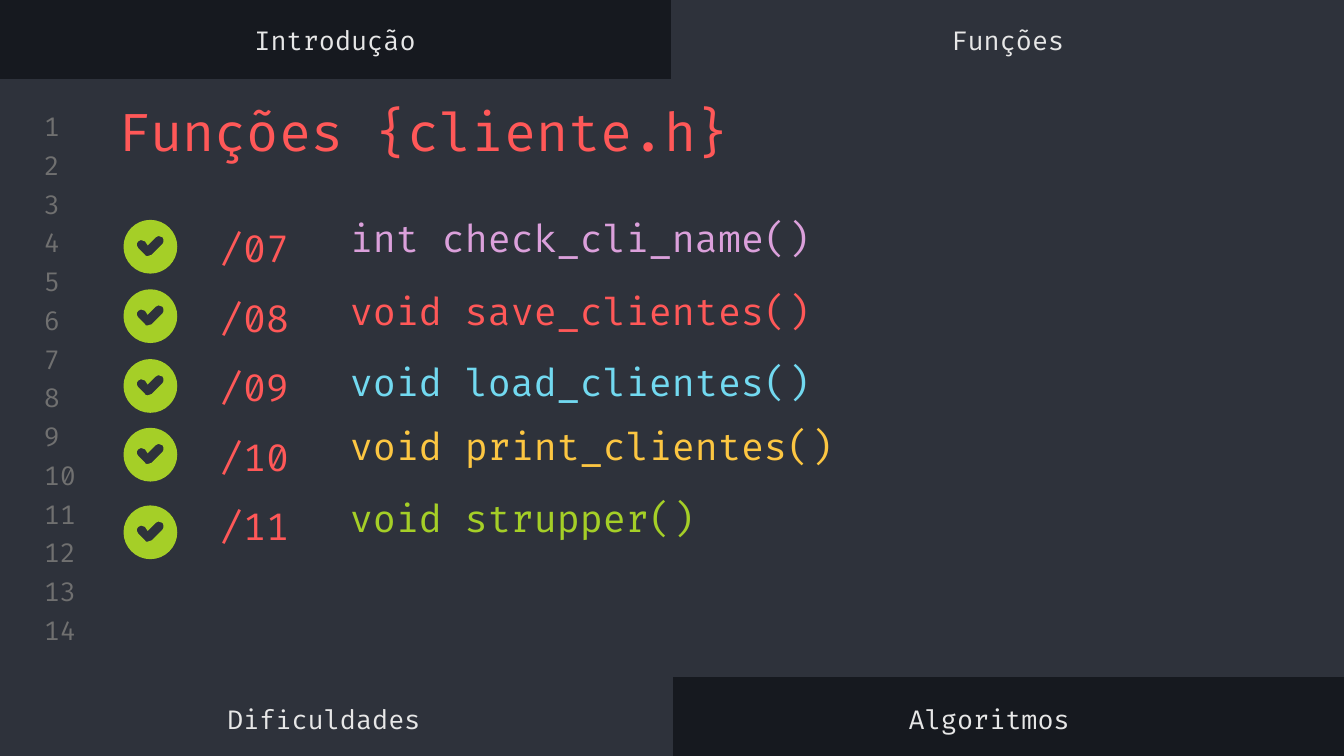
import pptx
import pptx.dml.color
import pptx.enum.shapes
import pptx.enum.text
import pptx.oxml.ns
import pptx.oxml.xmlchemy
import pptx.util

Pt = pptx.util.Pt
Align = pptx.enum.text.PP_ALIGN
Anchor = pptx.enum.text.MSO_ANCHOR


class Theme:
    font = "Fira Code"
    back, panel = "16191F", "2E323B"
    muted, light = "707070", "E7E7E7"
    red, pink, blue, yellow, green = "FF5858", "DBA0DB", "72D9F0", "FCC642", "A5CF27"
    title_size, code_size, small_size = 28, 20, 14


# Function rows: number, signature, colour, text top, text height, badge top
FUNCTIONS = [
    ("/07", "int check_cli_name()", Theme.pink, 102.2, 50.4, 117.8),
    ("/08", "void save_clientes()", Theme.red, 150.4, 31.7, 155),
    ("/09", "void load_clientes()", Theme.blue, 185.5, 38.2, 192.4),
    ("/10", "void print_clientes()", Theme.yellow, 224.3, 28.8, 229.2),
    ("/11", "void strupper()", Theme.green, 262.8, 28.8, 270.8),
]

# Navigation labels: text, left, top, width, alignment
LABELS = [
    ("Introdução", 0, 7.2, 359, Align.CENTER),
    ("Funções", 360, 7.2, 360, Align.CENTER),
    ("Dificuldades", 114.6, 371.2, 240, Align.LEFT),
    ("Algoritmos", 479.7, 371.2, 240, Align.LEFT),
]

# Badge outlines in hundredths of an inch: two values are a line, six a curve
CHECK = [
    (26, 12), (27, 12, 28, 12, 29, 13), (30, 14, 30, 17, 29, 18), (21, 26),
    (20, 27, 19, 27, 18, 27), (17, 27, 16, 27, 16, 26), (11, 21),
    (10, 20, 9, 18, 11, 16), (12, 16, 12, 15, 13, 15),
    (14, 15, 15, 16, 16, 16), (18, 19), (24, 13), (25, 12, 25, 12, 26, 12),
]
CIRCLE = [
    (20, 0), (9, 0, 0, 9, 0, 20), (0, 31, 9, 40, 20, 40),
    (31, 40, 40, 31, 40, 20), (40, 9, 31, 0, 20, 0),
]


def set_all(target, values):
    for name, value in values.items():
        setattr(target, name, value)


def rgb(value):
    return pptx.dml.color.RGBColor.from_string(value)


def place(box, left, top, width, height):
    set_all(box, {"left": Pt(left), "top": Pt(top),
                  "width": Pt(width), "height": Pt(height)})


def write(box, text, size, color, align=Align.LEFT, anchor=Anchor.MIDDLE):
    frame = box.text_frame
    inset = Pt(7.2)
    set_all(frame, {"word_wrap": True, "vertical_anchor": anchor,
                    "auto_size": pptx.enum.text.MSO_AUTO_SIZE.NONE,
                    "margin_left": inset, "margin_right": inset,
                    "margin_top": inset, "margin_bottom": inset})
    para = frame.paragraphs[0]
    para.alignment = align
    span = para.add_run()
    span.text = text
    set_all(span.font, {"name": Theme.font, "size": Pt(size)})
    span.font.color.rgb = rgb(color)


def add_text(page, area, *content, **options):
    box = page.shapes.add_textbox(*map(Pt, area))
    write(box, *content, **options)


def add_panel(page, *area):
    box = page.shapes.add_shape(
        pptx.enum.shapes.MSO_SHAPE.RECTANGLE, *map(Pt, area))
    box.shadow.inherit = False
    box.fill.solid()
    box.fill.fore_color.rgb = rgb(Theme.panel)
    box.line.color.rgb = rgb(Theme.panel)
    box.line.width = Pt(0.75)


def bend(shape, segments):
    """Join the control points of each curved segment into one curve."""
    nodes = iter(list(shape.element.iter(pptx.oxml.ns.qn("a:lnTo"))))
    for segment in segments:
        group = [next(nodes) for _ in segment[::2]]
        if len(group) == 1:
            continue
        curve = pptx.oxml.xmlchemy.OxmlElement("a:cubicBezTo")
        group[0].addprevious(curve)
        for node in group:
            curve.append(node[0])
            node.getparent().remove(node)


def add_badge(page, left, top):
    def points(segments):
        return [(Pt(left + x * 0.72), Pt(top + y * 0.72))
                for segment in segments
                for x, y in zip(segment[::2], segment[1::2])]

    check, circle = points(CHECK), points(CIRCLE)
    builder = page.shapes.build_freeform(*check[0])
    builder.add_line_segments(check[1:], close=True)
    builder.move_to(*circle[0])
    builder.add_line_segments(circle[1:], close=True)
    badge = builder.convert_to_shape()
    bend(badge, CHECK[1:] + CIRCLE[1:])
    badge.shadow.inherit = False
    badge.fill.solid()
    badge.fill.fore_color.rgb = rgb(Theme.green)
    badge.line.fill.background()


def main():
    deck = pptx.Presentation()
    set_all(deck, {"slide_width": Pt(720), "slide_height": Pt(405)})
    page = deck.slides.add_slide(deck.slide_layouts[5])
    page.background.fill.solid()
    page.background.fill.fore_color.rgb = rgb(Theme.back)

    # Editor panels
    add_panel(page, 360, 0, 360, 46.5)
    add_panel(page, 0, 358.5, 360, 46.5)
    add_panel(page, 0, 42.5, 720, 319.7)

    # Line numbers
    for index in range(14):
        add_text(page, (16.4, 59.2 + 20.75 * index, 34, 17),
                 str(index + 1), Theme.small_size, Theme.muted)

    # Title, raised above the panels
    title = page.shapes.title
    title.element.getparent().append(title.element)
    place(title, 56.2, 46, 607.7, 45.4)
    write(title, "Funções\u00a0{cliente.h}", Theme.title_size, Theme.red,
          anchor=Anchor.TOP)

    # Navigation labels
    for text, left, top, width, align in LABELS:
        add_text(page, (left, top, width, 28), text,
                 Theme.small_size, Theme.light, align=align)

    # Function list
    for index, (number, name, color, top, height, badge_top) in enumerate(FUNCTIONS):
        add_badge(page, 66.2, badge_top)
        add_text(page, (110.9, 113.5 + 37.25 * index, 69.8, 37.4), number,
                 Theme.code_size, Theme.red, anchor=Anchor.TOP)
        add_text(page, (180.3, top, 337, height), name, Theme.code_size, color)

    deck.save("out.pptx")


main()
